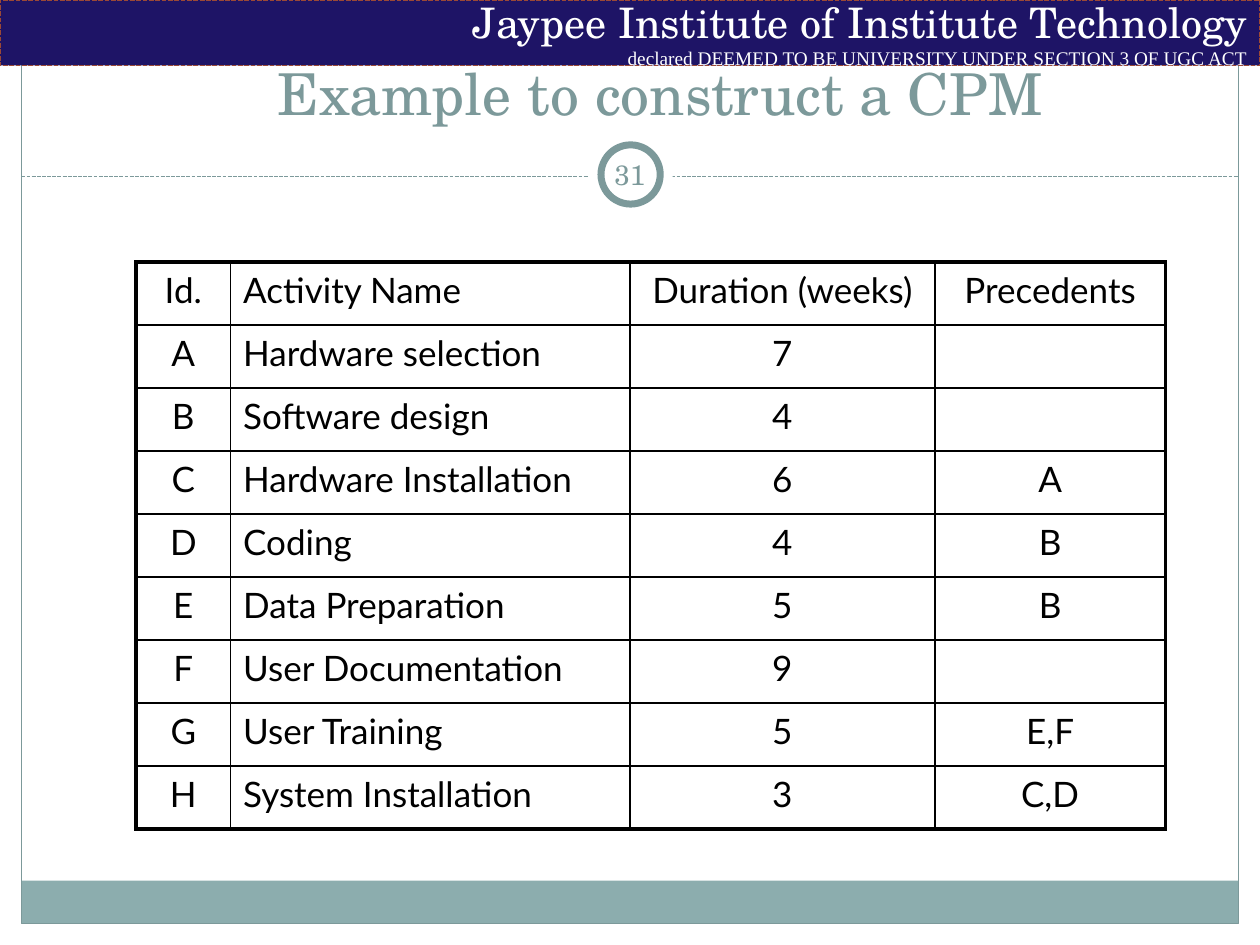
from lxml.etree import SubElement
from pptx import Presentation
from pptx.dml.color import RGBColor
from pptx.enum.dml import MSO_LINE
from pptx.enum.shapes import MSO_CONNECTOR, MSO_SHAPE
from pptx.enum.text import MSO_ANCHOR, PP_ALIGN
from pptx.oxml.ns import qn
from pptx.util import Inches, Pt

HUES = {"white": "FFFFFF", "sage": "7C999A", "foot": "8CADAE",
        "navy": "1E1466", "rust": "9B4936", "black": "000000"}
SERIF, SANS, TIMES = "TeX Gyre Schola", "Lato", "Times New Roman"
WIDE, TALL, EDGE = 10, 7.5, 0.17
COLS = [0.75, 3.17, 2.42, 1.83]
ROWS = [
    ("Id.", "Activity Name", "Duration (weeks)", "Precedents"),
    ("A", "Hardware selection", "7", ""),
    ("B", "Software design", "4", ""),
    ("C", "Hardware Installation", "6", "A"),
    ("D", "Coding", "4", "B"),
    ("E", "Data Preparation", "5", "B"),
    ("F", "User Documentation", "9", ""),
    ("G", "User Training", "5", "E,F"),
    ("H", "System Installation", "3", "C,D"),
]


def tint(name):
    """Return the colour with this name."""
    return RGBColor.from_string(HUES[name])


def stroke(line, hue, width, dash=None):
    """Style an outline or a line."""
    line.color.rgb = tint(hue)
    line.width = Pt(width)
    if dash:
        line.dash_style = dash


def block(slide, box, fill=None, kind=MSO_SHAPE.RECTANGLE):
    """Add a flat preset shape with no outline."""
    shape = slide.shapes.add_shape(kind, *map(Inches, box))
    shape.shadow.inherit = False
    if fill:
        shape.fill.solid()
        shape.fill.fore_color.rgb = tint(fill)
    else:
        shape.fill.background()
    shape.line.fill.background()
    return shape


def write(para, text, size, font, hue, align=PP_ALIGN.CENTER):
    """Add one run to a paragraph."""
    para.alignment = align
    run = para.add_run()
    run.text = text
    run.font.size = Pt(size)
    run.font.name = font
    run.font.color.rgb = tint(hue)


def label(slide, box, anchor, text, size, inset=None):
    """Add a centred serif text box."""
    frame = slide.shapes.add_textbox(*map(Inches, box)).text_frame
    frame.word_wrap = True
    frame.vertical_anchor = anchor
    if inset is not None:
        frame.margin_left = frame.margin_right = Inches(inset)
        frame.margin_top = frame.margin_bottom = Inches(inset)
    write(frame.paragraphs[0], text, size, SERIF, "sage")


def border(slide, box):
    """Draw the foot bar, the page frame and the dashed rule."""
    left, top, width, height = box
    foot = 0.34
    block(slide, (left, top + height - foot, width, foot), "foot")
    stroke(block(slide, box).line, "sage", 0.75)
    level = top + 1.23
    ends = map(Inches, (left, level, left + width, level))
    rule = slide.shapes.add_connector(MSO_CONNECTOR.STRAIGHT, *ends)
    stroke(rule.line, "sage", 0.75, MSO_LINE.SQUARE_DOT)
    SubElement(rule._element.spPr, qn("a:effectLst"))


def badge(slide, box):
    """Draw the ringed slide number."""
    left, top, size, _ = box
    gap = 0.1
    block(slide, box, "white", MSO_SHAPE.OVAL)
    inner = (left + gap, top + gap, size - 2 * gap, size - 2 * gap)
    ring = block(slide, inner, "white", MSO_SHAPE.OVAL)
    stroke(ring.line, "sage", 4)
    spot = (left + 0.08, top + 0.09, 0.5, 0.48)
    label(slide, spot, MSO_ANCHOR.MIDDLE, "31", 16, 0.05)


def banner(slide, box):
    """Draw the institute banner."""
    bar = block(slide, box, "navy")
    stroke(bar.line, "rust", 0.9, MSO_LINE.SQUARE_DOT)
    frame = bar.text_frame
    frame.word_wrap = True
    frame.vertical_anchor = MSO_ANCHOR.MIDDLE
    write(frame.paragraphs[0], "Jaypee Institute of Institute Technology",
          24, SERIF, "white", PP_ALIGN.RIGHT)
    write(frame.add_paragraph(),
          "declared DEEMED TO BE UNIVERSITY UNDER SECTION 3 OF UGC ACT",
          11, TIMES, "white", PP_ALIGN.RIGHT)


def rim(cell, outer):
    """Draw cell borders, heavy on the outer sides."""
    props = cell._tc.get_or_add_tcPr()
    for side in "LRTB":
        width = Pt(2.25 if side in outer else 1)
        line = SubElement(props, qn("a:ln" + side), w=str(width))
        fill = SubElement(line, qn("a:solidFill"))
        SubElement(fill, qn("a:srgbClr"), val=HUES["black"])


def grid(slide, box):
    """Add the activity table."""
    size = map(Inches, box)
    table = slide.shapes.add_table(len(ROWS), len(COLS), *size).table
    table.first_row = table.horz_banding = False
    for col, width in zip(table.columns, COLS):
        col.width = Inches(width)
    for r, row in enumerate(ROWS):
        table.rows[r].height = Inches(box[3] / len(ROWS))
        for c, text in enumerate(row):
            cell = table.cell(r, c)
            sides = {"L": c == 0, "R": c == len(COLS) - 1,
                     "T": r == 0, "B": r == len(ROWS) - 1}
            rim(cell, [side for side, on in sides.items() if on])
            cell.fill.background()
            if text:
                align = PP_ALIGN.LEFT if c == 1 else PP_ALIGN.CENTER
                write(cell.text_frame.paragraphs[0], text, 20, SANS,
                      "black", align)


def main():
    """Build and save the slide."""
    deck = Presentation()
    deck.slide_width, deck.slide_height = Inches(WIDE), Inches(TALL)
    slide = deck.slides.add_slide(deck.slide_layouts[6])
    border(slide, (EDGE, EDGE, WIDE - 2 * EDGE, TALL - 2 * EDGE))
    banner(slide, (0, 0, WIDE, 0.52))
    badge(slide, (4.67, 1.05, 0.67, 0.67))
    label(slide, (0.98, -0.19, 8.52, 1.25), MSO_ANCHOR.BOTTOM,
          "Example to construct a CPM", 33)
    grid(slide, (1.08, 2.08, sum(COLS), 4.5))
    deck.save("out.pptx")


if __name__ == "__main__":
    main()
